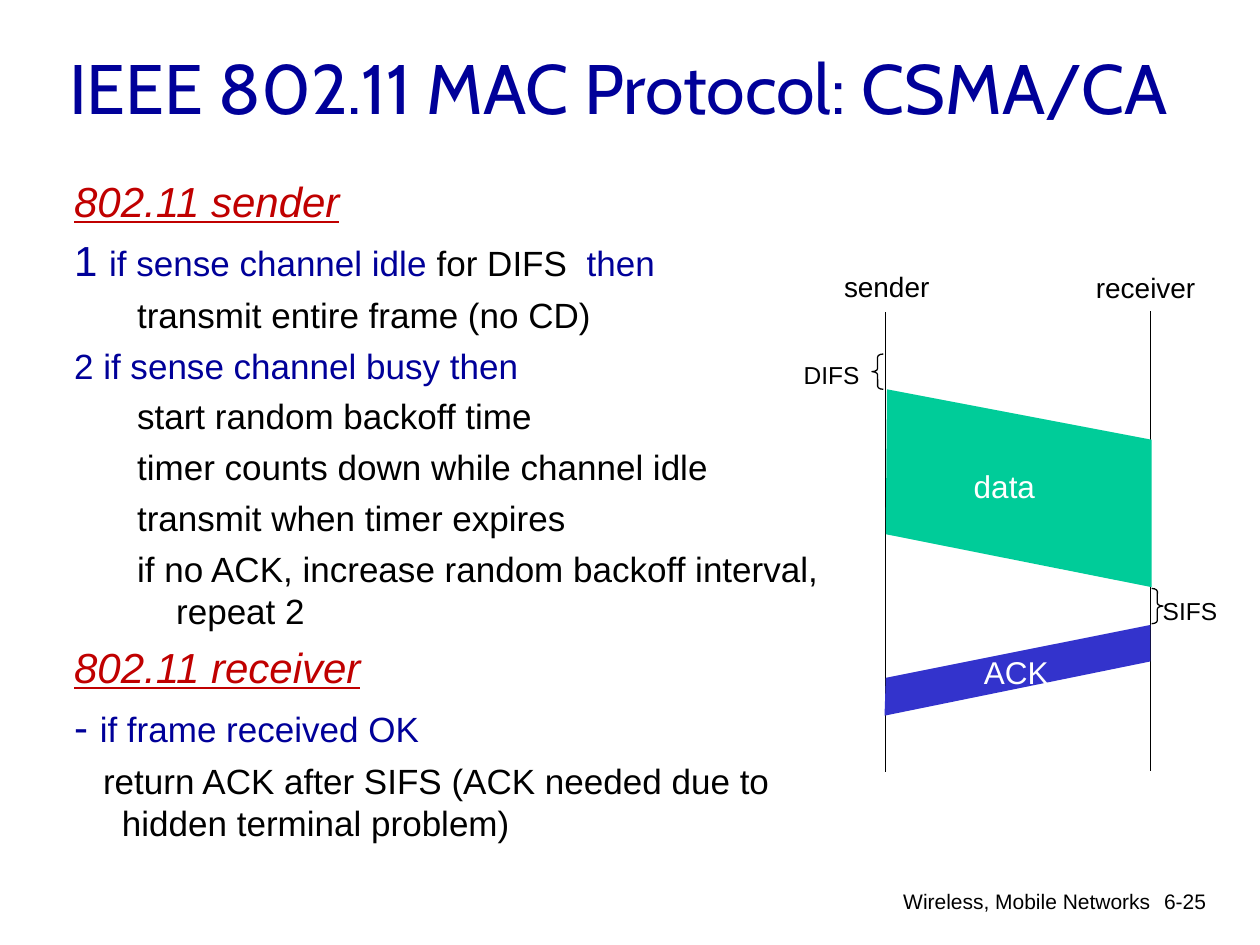
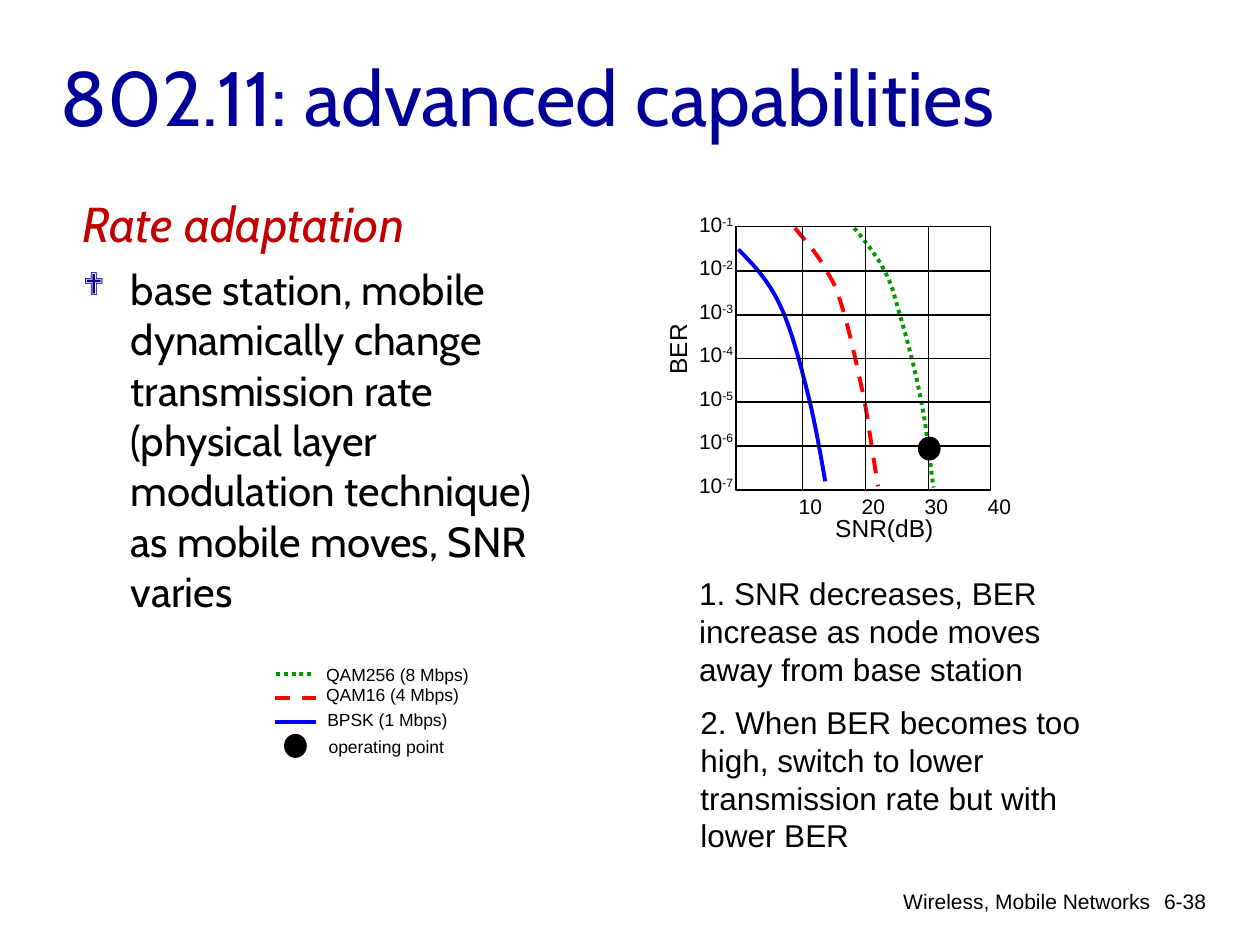
from lxml.etree import SubElement
from pptx import Presentation
from pptx.dml.color import RGBColor
from pptx.enum.dml import MSO_LINE
from pptx.enum.shapes import MSO_CONNECTOR, MSO_SHAPE
from pptx.enum.text import MSO_ANCHOR, MSO_AUTO_SIZE, PP_ALIGN
from pptx.oxml.ns import qn
from pptx.util import Pt

PX = 9144
COLORS = {
    "black": "000000", "white": "FFFFFF", "navy": "000099", "red": "C00000",
    "data": "00CC99", "ack": "3333CC",
    "bpsk": "0000FF", "qam16": "FF0000", "qam256": "009900",
}
TITLE_FONT, BODY_FONT = "Cabin", "Arial"


def color(name):
    """Return the named colour."""
    return RGBColor.from_string(COLORS[name])


def write(para, words, size=18, ink="black", font=BODY_FONT, italic=False,
          underline=False, raised=False):
    """Add one formatted span to a paragraph."""
    span = para.add_run()
    span.text = words
    span.font.size = Pt(size)
    span.font.name = font
    span.font.italic = italic
    span.font.underline = underline
    span.font.color.rgb = color(ink)
    if raised:
        span.font._element.set("baseline", "30000")


def indent(para, margin, first):
    """Set the left margin and the first-line offset of a paragraph."""
    properties = para._p.get_or_add_pPr()
    properties.set("marL", str(margin * PX))
    properties.set("indent", str(first * PX))


def add_bullet(para, mark, ink, percent):
    """Give a paragraph a coloured bullet."""
    properties = para._p.get_or_add_pPr()
    tint = SubElement(properties, qn("a:buClr"))
    SubElement(tint, qn("a:srgbClr")).set("val", COLORS[ink])
    SubElement(properties, qn("a:buSzPct")).set("val", str(percent * 1000))
    SubElement(properties, qn("a:buFont")).set("typeface", "Wingdings")
    SubElement(properties, qn("a:buChar")).set("char", mark)


def bend(shape):
    """Turn each three straight segments of an outline into one cubic curve."""
    outline = next(shape._element.iter(qn("a:path")))
    straight = outline.findall(qn("a:lnTo"))
    for index in range(0, len(straight), 3):
        cubic = SubElement(outline, qn("a:cubicBezTo"))
        for segment in straight[index:index + 3]:
            cubic.append(segment[0])
            outline.remove(segment)


class Lecture:
    """Hold the deck, its style and the current page."""

    def __init__(self):
        """Start an empty deck of 1000 by 750 px."""
        self.deck = Presentation()
        self.deck.slide_width = 1000 * PX
        self.deck.slide_height = 750 * PX
        self.page = None

    def new_page(self, number, title, place, size):
        """Add a page with its footer and title."""
        self.page = self.deck.slides.add_slide(self.deck.slide_layouts[6])
        for words, spot in (("Wireless, Mobile Networks", (501, 700, 422, 35)),
                            (number, (893, 700, 74, 50))):
            self.label(words, spot, wrap=True, align=PP_ALIGN.RIGHT, size=12)
        box = self.label(title, place, wrap=True, size=size, ink="navy", font=TITLE_FONT)
        box.text_frame.vertical_anchor = MSO_ANCHOR.MIDDLE

    def text_box(self, place, wrap=True):
        """Add an empty text box."""
        box = self.page.shapes.add_textbox(*(length * PX for length in place))
        box.text_frame.word_wrap = wrap
        if not wrap:
            box.text_frame.auto_size = MSO_AUTO_SIZE.SHAPE_TO_FIT_TEXT
        return box

    def label(self, words, place, wrap=False, align=PP_ALIGN.LEFT, **style):
        """Add a text box with one span."""
        box = self.text_box(place, wrap)
        para = box.text_frame.paragraphs[0]
        para.alignment = align
        write(para, words, **style)
        return box

    def body(self, place, paragraphs):
        """Add a text box from (margin, first, before, bullet, spans) rows."""
        frame = self.text_box(place).text_frame
        for index, (margin, first, before, bullet, spans) in enumerate(paragraphs):
            para = frame.add_paragraph() if index else frame.paragraphs[0]
            indent(para, margin, first)
            if bullet:
                add_bullet(para, bullet, "navy", 75)
            if index:
                para.space_before = Pt(before)
            for words, style in spans:
                write(para, words, **style)

    def outline(self, item, ink, width, dash=None):
        """Set the line of a shape or connector."""
        item.line.color.rgb = color(ink)
        item.line.width = Pt(width)
        if dash:
            item.line.dash_style = dash

    def line(self, start, end, ink="black", width=0.75, dash=None):
        """Add a straight connector."""
        ends = (length * PX for length in (*start, *end))
        connector = self.page.shapes.add_connector(MSO_CONNECTOR.STRAIGHT, *ends)
        self.outline(connector, ink, width, dash)
        SubElement(connector._element.spPr, qn("a:effectLst"))
        return connector

    def shape(self, kind, place, fill=None):
        """Add a preset shape with a thin black line."""
        shape = self.page.shapes.add_shape(kind, *(length * PX for length in place))
        shape.shadow.inherit = False
        if fill:
            shape.fill.solid()
            shape.fill.fore_color.rgb = color(fill)
        else:
            shape.fill.background()
        self.outline(shape, "black", 0.75)
        return shape

    def brace(self, kind, place):
        """Add a small rounded brace."""
        self.shape(kind, place).adjustments[0] = 0.27

    def freeform(self, points, closed):
        """Add an outline through the points."""
        start, *rest = points
        builder = self.page.shapes.build_freeform(*start, scale=PX)
        builder.add_line_segments(rest, close=closed)
        shape = builder.convert_to_shape()
        shape.shadow.inherit = False
        return shape

    def polygon(self, points, fill):
        """Add a filled outline without a line."""
        shape = self.freeform(points, True)
        shape.fill.solid()
        shape.fill.fore_color.rgb = color(fill)
        shape.line.fill.background()

    def curve(self, points, ink, dash):
        """Add an open smooth curve from a start and triples of knots."""
        shape = self.freeform(points, False)
        bend(shape)
        shape.fill.background()
        self.outline(shape, ink, 2.25, dash)


def csma_page(lecture):
    """Build the page on the sender and receiver protocol."""
    lecture.new_page("6-25", "IEEE 802.11 MAC Protocol: CSMA/CA", (45, 17, 899, 104), 40)
    heading = dict(size=24, ink="red", italic=True, underline=True)
    mark = dict(size=24, ink="navy")
    rule = dict(size=20, ink="navy")
    plain = dict(size=20)

    def step(words):
        """Return an indented action row."""
        return 81, -31, 5, None, [(words, plain)]

    lecture.body((49, 134, 636, 542), [
        (38, -38, 6, None, [("802.11 sender", heading)]),
        (38, -38, 5, None, [("1 ", mark), ("if sense channel idle", rule),
                            (" for DIFS ", plain), (" then", rule)]),
        step("transmit entire frame (no CD)"),
        (38, -38, 5, None, [("2 if sense channel busy then", rule)]),
        step("start random backoff time"),
        step("timer counts down while channel idle"),
        step("transmit when timer expires"),
        step("if no ACK, increase random backoff interval, repeat 2"),
        (38, -38, 6, None, [("802.11 receiver", heading)]),
        (38, -38, 5, None, [("- ", mark), ("if frame received OK", rule)]),
        (38, -15, 5, None,
         [("return ACK after SIFS (ACK needed due to hidden terminal problem)", plain)]),
    ])

    for x, top in ((703, 248), (913, 247)):
        lecture.line((x, top), (x, top + 365))
    lecture.label("sender", (660, 209, 89, 37), size=16)
    lecture.label("receiver", (860, 210, 100, 37), size=16)
    lecture.brace(MSO_SHAPE.LEFT_BRACE, (692, 281, 9, 28))
    lecture.label("DIFS", (628, 281, 66, 34), size=14)
    lecture.polygon([(704, 309), (914, 349), (914, 466), (703, 424)], "data")
    lecture.label("data", (763, 366, 70, 40), ink="white")
    lecture.label("SIFS", (913, 468, 64, 34), size=14)
    lecture.brace(MSO_SHAPE.RIGHT_BRACE, (914, 467, 9, 28))
    lecture.polygon([(702, 568), (913, 525), (913, 496), (703, 538)], "ack")
    lecture.label("ACK", (771, 513, 73, 40), ink="white")


def rate_page(lecture):
    """Build the page on rate adaptation."""
    lecture.new_page("6-38", "802.11: advanced capabilities", (38, 30, 850, 92), 44)
    lecture.body((56, 149, 410, 508), [
        (38, -38, 7, None,
         [("Rate adaptation", dict(size=28, ink="red", font=TITLE_FONT, italic=True))]),
        (38, -38, 6, "❖",
         [("base station, mobile dynamically change transmission rate (physical layer "
           "modulation technique) as mobile moves, SNR varies",
           dict(size=24, font=TITLE_FONT))]),
    ])

    modulations = (
        ("QAM256 (8 Mbps)", "qam256", MSO_LINE.ROUND_DOT, (219, 249, 535), (249, 522, 135, 27),
         [(678, 181), (687, 192), (696, 203), (702, 215), (708, 226), (709, 232), (714, 249),
          (719, 266), (727, 295), (731, 318), (736, 341), (739, 376), (741, 387)]),
        ("QAM16 (4 Mbps)", "qam16", MSO_LINE.DASH, (218, 251, 554), (249, 538, 127, 27),
         [(631, 181), (640, 192), (650, 203), (656, 215), (663, 226), (665, 232), (670, 249),
          (675, 266), (681, 294), (686, 317), (690, 340), (693, 363), (697, 386)]),
        ("BPSK (1 Mbps)", "bpsk", None, (218, 251, 573), (250, 558, 117, 27),
         [(586, 198), (598, 210), (610, 223), (619, 242), (628, 261), (635, 288), (641, 312),
          (647, 335), (653, 371), (655, 382)]),
    )
    for name, ink, dash, (left, right, y), place, points in modulations:
        lecture.line((left, y), (right, y), ink, 2.25, dash)
        lecture.label(name, place, size=10)
        lecture.curve(points, ink, dash)

    left, top, width, height = 584, 180, 202, 209
    frame = lecture.shape(MSO_SHAPE.RECTANGLE, (left, top, width, height))
    for row in range(1, 6):
        y = top + round(row * height / 6)
        grid_line = lecture.line((left, y), (left + width, y))
        if row == 3:
            grid_line.begin_connect(frame, 1)
            grid_line.end_connect(frame, 3)
    for column in range(4):
        x = 637 + 50 * column
        if column < 3:
            lecture.line((x, top), (x, top + height))
        lecture.label(str(10 * (column + 1)), (x - 13, 387, 40, 30), size=12)
    lecture.label("SNR(dB)", (653, 402, 99, 34), size=14)
    lecture.label("BER", (508, 260, 60, 34), size=14).rotation = 270
    for power in range(1, 8):
        box = lecture.label("10", (545, 163 + (power - 1) * 345 // 10, 48, 30), size=12)
        write(box.text_frame.paragraphs[0], f"-{power}", size=12, raised=True)

    for x, y in ((729, 347), (226, 583)):
        lecture.shape(MSO_SHAPE.OVAL, (x, y, 17, 18), "black")
    lecture.label("operating point", (251, 579, 114, 27), size=10)
    lecture.label("1. SNR decreases, BER increase as node moves away from base station",
                  (545, 451, 350, 100), wrap=True)
    lecture.label("2. When BER becomes too high, switch to lower transmission rate "
                  "but with lower BER", (546, 553, 350, 130), wrap=True)


def main():
    """Build and save the deck."""
    lecture = Lecture()
    csma_page(lecture)
    rate_page(lecture)
    lecture.deck.save("out.pptx")


if __name__ == "__main__":
    main()
